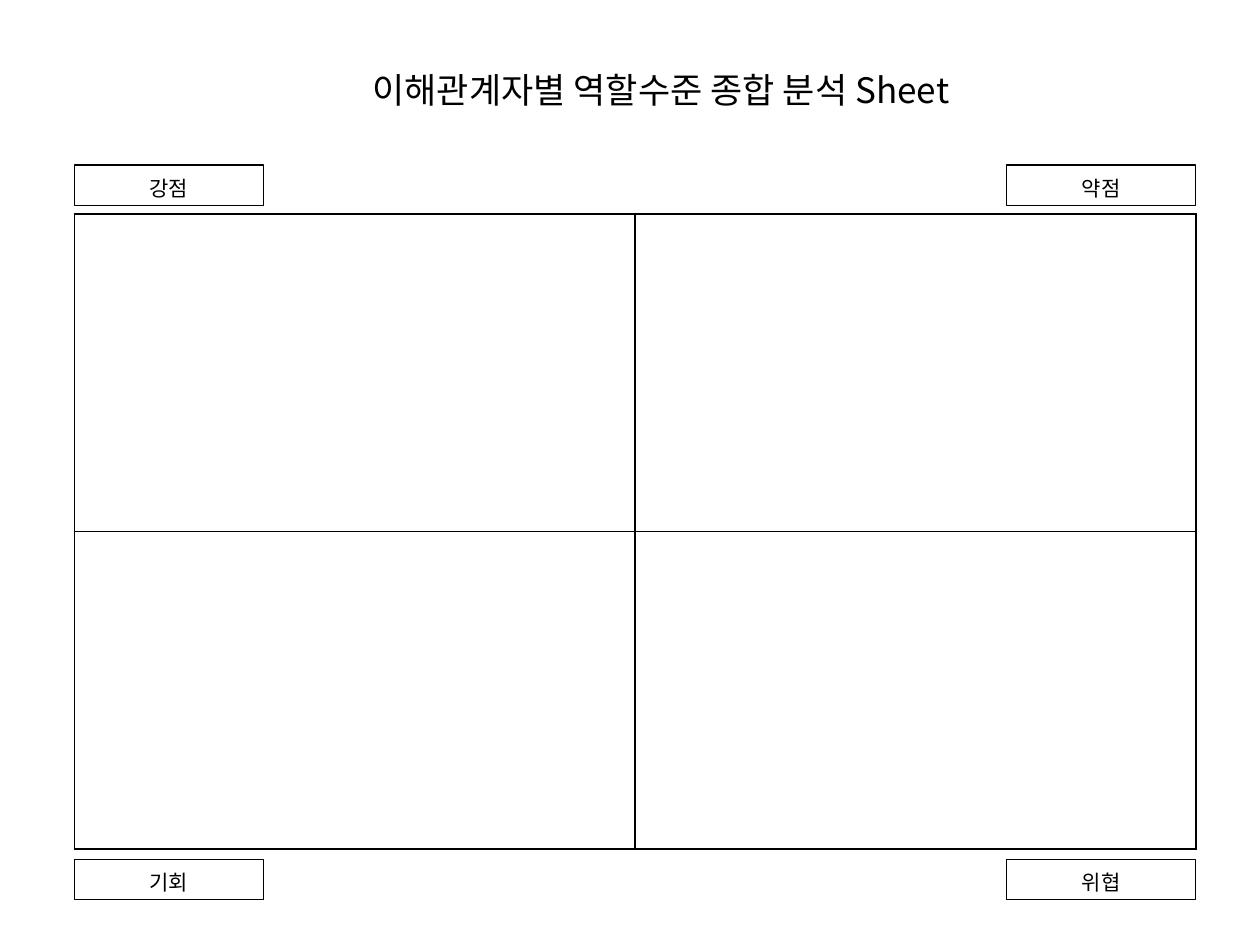
"""Build a SWOT sheet with four empty quadrants and corner labels."""
from lxml.etree import SubElement
from pptx import Presentation
from pptx.dml.color import RGBColor
from pptx.enum.shapes import MSO_SHAPE
from pptx.enum.text import MSO_ANCHOR, PP_ALIGN
from pptx.oxml.ns import qn
from pptx.util import Inches, Pt

COLORS = {"ink": "000000", "paper": "FFFFFF"}
FONT = "Noto Sans CJK KR"

deck = Presentation()
deck.slide_width, deck.slide_height = Inches(10), Inches(7.5)
slide = deck.slides.add_slide(deck.slide_layouts[6])


def add_label(text, left, top, width, height, size=12, spacing=1.2, fill=None, line=None):
    label = slide.shapes.add_shape(
        MSO_SHAPE.RECTANGLE, Inches(left), Inches(top), Inches(width), Inches(height))
    label.shadow.inherit = False
    if fill:
        label.fill.solid()
        label.fill.fore_color.rgb = RGBColor.from_string(fill)
    else:
        label.fill.background()
    if line:
        label.line.color.rgb = RGBColor.from_string(line)
        label.line.width = Pt(0.75)
    else:
        label.line.fill.background()
    frame = label.text_frame
    frame.word_wrap = True
    frame.vertical_anchor = MSO_ANCHOR.MIDDLE
    frame.margin_left = frame.margin_right = frame.margin_top = frame.margin_bottom = 0
    paragraph = frame.paragraphs[0]
    paragraph.alignment = PP_ALIGN.CENTER
    paragraph.line_spacing = spacing
    run = paragraph.add_run()
    run.text = text
    run.font.size = Pt(size)
    run.font.name = FONT
    run.font.color.rgb = RGBColor.from_string(COLORS["ink"])
    SubElement(run.font._element, qn("a:ea"), typeface=FONT)


quadrants = slide.shapes.add_table(
    2, 2, Inches(0.59), Inches(1.7), Inches(8.9), Inches(5.04)).table
quadrants.first_row = quadrants.horz_banding = False
for quadrant in quadrants.iter_cells():
    properties = quadrant._tc.get_or_add_tcPr()
    for side in ("a:lnL", "a:lnR", "a:lnT", "a:lnB"):
        border = SubElement(properties, qn(side), w=str(Pt(1)))
        ink = SubElement(border, qn("a:solidFill"))
        SubElement(ink, qn("a:srgbClr"), val=COLORS["ink"])
    quadrant.fill.background()

add_label("이해관계자별 역할수준 종합 분석 Sheet", 2.38, 0.49, 5.73, 0.44,
          size=20, spacing=1.0, fill=COLORS["paper"])

for top, names in ((1.31, ("강점", "약점")), (6.82, ("기회", "위협"))):
    for left, name in zip((0.59, 7.99), names):
        add_label(name, left, top, 1.5, 0.32, line=COLORS["ink"])

deck.save("out.pptx")
